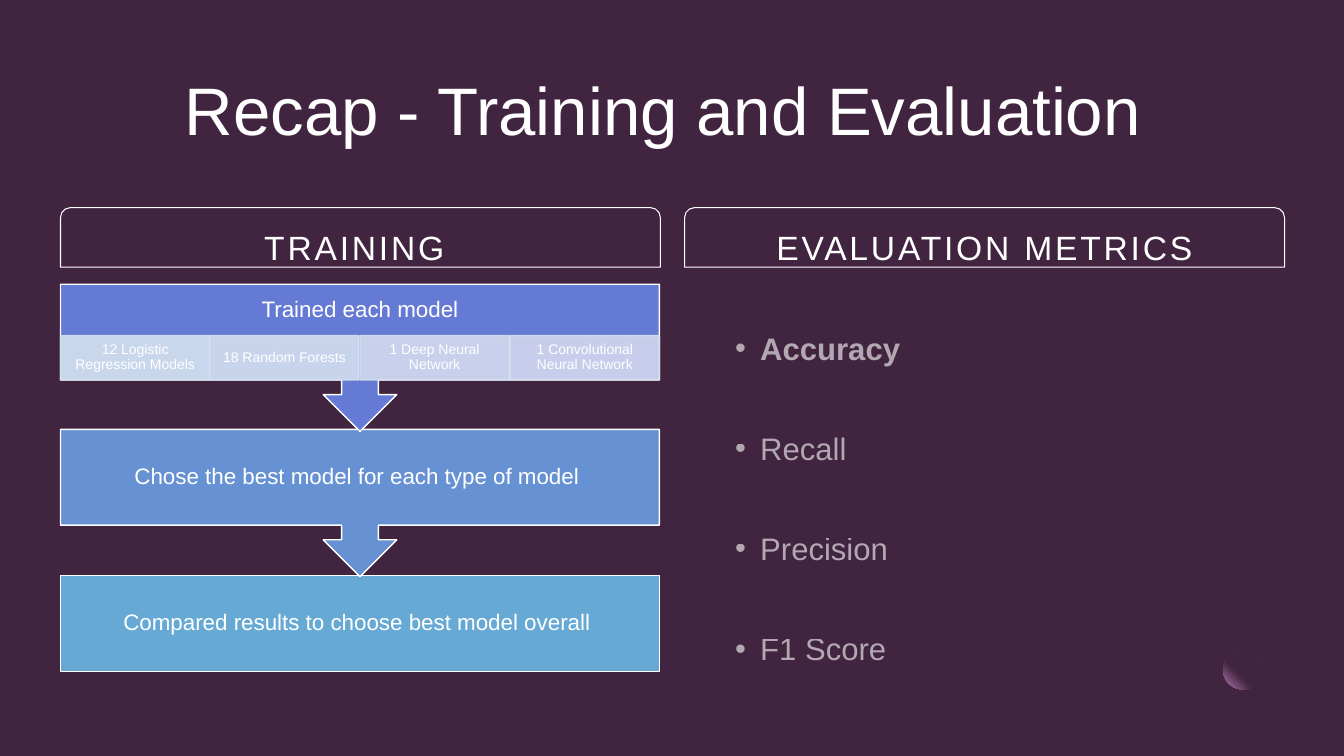
from lxml import etree
from pptx import Presentation
from pptx import util as u
from pptx.dml.color import RGBColor
from pptx.enum import shapes, text
from pptx.oxml import ns, parse_xml

PLUM = RGBColor(0x41, 0x24, 0x40)
LILAC = RGBColor(0xB6, 0x7B, 0xB4)
WHITE = RGBColor(0xFF, 0xFF, 0xFF)
INDIGO = RGBColor(0x65, 0x7A, 0xD4)
BLUE = RGBColor(0x66, 0x92, 0xD4)
SKY = RGBColor(0x66, 0xA9, 0xD4)
MIST = RGBColor(0xD3, 0xE2, 0xEF)
HAZE = RGBColor(0xD3, 0xDE, 0xEF)
PEARL = RGBColor(0xD3, 0xDA, 0xEF)
PALE = RGBColor(0xD3, 0xD7, 0xEF)
KIND = shapes.MSO_SHAPE
ALIGN = text.PP_ALIGN
ANCHOR = text.MSO_ANCHOR
SCALE = 9144


class Deck:
    """Draws styled elements on one slide, with lengths in px."""

    def __init__(self, wide, high, back, font):
        self.prs = Presentation()
        self.prs.slide_width, self.prs.slide_height = wide * SCALE, high * SCALE
        self.slide = self.prs.slides.add_slide(self.prs.slide_layouts[6])
        self.slide.background.fill.solid()
        self.slide.background.fill.fore_color.rgb = back
        self.font = font

    def fade(self, fill, alpha):
        for tint in fill.iter(ns.qn("a:srgbClr")):
            etree.SubElement(tint, ns.qn("a:alpha")).set("val", str(alpha * 1000))

    def shape(self, kind, box, fill=None, line=None, width=1, alpha=100, turn=0):
        item = self.slide.shapes.add_shape(kind, *(n * SCALE for n in box))
        item.shadow.inherit = False
        item.rotation = turn
        if fill is None:
            item.fill.background()
        else:
            item.fill.solid()
            item.fill.fore_color.rgb = fill
        if line is None:
            item.line.fill.background()
        else:
            item.line.color.rgb = line
            item.line.width = u.Pt(width)
        if alpha < 100:
            self.fade(item._element.spPr, alpha)
        return item

    def moon(self, box, near, far):
        item = self.shape(KIND.OVAL, box)
        props = item._element.spPr
        glow = parse_xml(
            f'<a:gradFill {ns.nsdecls("a")} rotWithShape="1"><a:gsLst>'
            f'<a:gs pos="60000"><a:srgbClr val="{near}"/></a:gs>'
            f'<a:gs pos="100000"><a:srgbClr val="{far}"/></a:gs></a:gsLst>'
            '<a:path path="circle"><a:fillToRect l="100000" b="100000"/></a:path>'
            '</a:gradFill>')
        props.replace(props.find(ns.qn("a:noFill")), glow)

    def box(self, box):
        return self.slide.shapes.add_textbox(*(n * SCALE for n in box))

    def label(self, item, lines, size, anchor=ANCHOR.MIDDLE, pad=(0, 0), lead=0.9,
              gaps=(0, 0), align=ALIGN.CENTER, track=0, alpha=100, dots=False):
        frame = item.text_frame
        frame.word_wrap = True
        frame.vertical_anchor = anchor
        frame.margin_left = frame.margin_right = pad[0] * SCALE
        frame.margin_top = frame.margin_bottom = pad[1] * SCALE
        for i, (words, bold) in enumerate(lines):
            para = frame.add_paragraph() if i else frame.paragraphs[0]
            para.alignment = align
            para.line_spacing = lead
            para.space_before, para.space_after = map(u.Pt, gaps)
            if dots:
                self.dot(para)
            run = para.add_run()
            run.text = words
            run.font.name = self.font
            run.font.size = u.Pt(size)
            run.font.bold = bold
            run.font.color.rgb = WHITE
            props = run._r.get_or_add_rPr()
            if track:
                props.set("spc", str(track * 100))
            if alpha < 100:
                self.fade(props, alpha)

    def dot(self, para):
        props = para._p.get_or_add_pPr()
        props.set("marL", str(75 * SCALE))
        props.set("indent", str(-25 * SCALE))
        etree.SubElement(props, ns.qn("a:buFont")).set("typeface", self.font)
        etree.SubElement(props, ns.qn("a:buChar")).set("char", "•")

    def head(self, left, words):
        tab = self.shape(KIND.ROUND_2_SAME_RECTANGLE, (left, 206, 595, 59),
                         line=WHITE, width=0.75)
        self.label(tab, [(words, False)], 24, ANCHOR.BOTTOM, lead=1.1,
                   gaps=(10, 8), track=2)

    def step(self, top, high, words, fill, last=False):
        if last:
            item = self.shape(KIND.RECTANGLE, (60, top, 594, 95), fill, WHITE)
        else:
            self.shape(KIND.UP_ARROW_CALLOUT, (60, top, 594, 146), fill, WHITE,
                       turn=180)
            item = self.box((60, top, 594, high))
        self.label(item, [(words, False)], 16, pad=(12, 12))


def main():
    deck = Deck(1333, 750, PLUM, "Arial")
    deck.moon((1213, 645, 39, 39), PLUM, LILAC)
    deck.shape(KIND.RECTANGLE, (1252, 637, 41, 39), PLUM, alpha=80)
    deck.label(deck.box((60, 60, 1214, 146)),
               [("Recap - Training and Evaluation ", False)], 48, ANCHOR.TOP, lead=1.1)
    deck.head(60, "TRAINING ")
    deck.head(679, "EVALUATION METRICS")

    steps = [
        (51, "Trained each model", INDIGO),
        (95, "Chose the best model for each type of model ", BLUE),
        (95, "Compared results to choose best model overall ", SKY),
    ]
    for i, (high, words, fill) in reversed(list(enumerate(steps))):
        deck.step(282 + round(144.5 * i), high, words, fill, i == len(steps) - 1)

    models = [
        ("12 Logistic Regression Models", MIST),
        ("18 Random Forests", HAZE),
        ("1 Deep Neural Network", PEARL),
        ("1 Convolutional Neural Network", PALE),
    ]
    for i, (words, fill) in enumerate(models):
        cell = deck.shape(KIND.RECTANGLE, (60 + round(148.5 * i), 333, 148, 44),
                          fill, MIST, alpha=90)
        deck.label(cell, [(words, False)], 10, pad=(8, 1))

    scores = [("Accuracy", True), ("Recall", False), ("Precision", False),
              ("F1 Score", False)]
    deck.label(deck.box((679, 282, 595, 384)), scores, 22.2, ANCHOR.TOP, lead=2.2,
               gaps=(5, 8), align=ALIGN.LEFT, alpha=60, dots=True)
    deck.prs.save("out.pptx")


if __name__ == "__main__":
    main()
